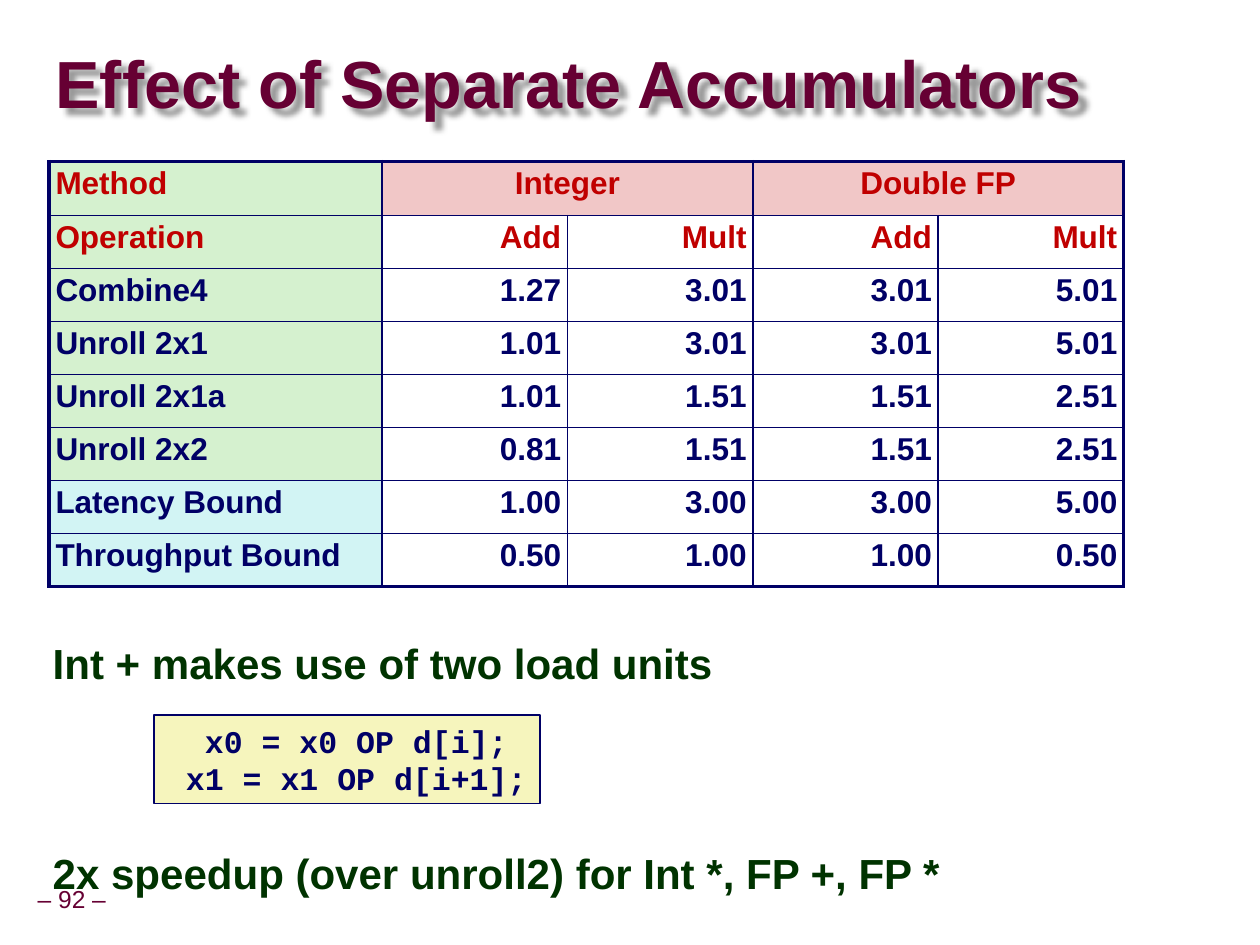
"""Build the slide on the effect of separate accumulators."""
from dataclasses import dataclass

from lxml import etree as tree
from pptx import Presentation
from pptx import util as u
from pptx.dml.color import RGBColor
from pptx.enum import shapes, text
from pptx.oxml import ns

NAVY, PLUM, RED, PINE = "000066", "660033", "C00000", "003300"
GREEN, CYAN, PINK, CREAM = "D5F1CF", "D2F4F4", "F1C7C7", "F6F5BD"
LEFT, MID, RIGHT = text.PP_ALIGN.LEFT, text.PP_ALIGN.CENTER, text.PP_ALIGN.RIGHT
TOP, CENTRE = text.MSO_ANCHOR.TOP, text.MSO_ANCHOR.MIDDLE


@dataclass
class Style:
    size: float
    color: str
    bold: bool = True
    font: str = "Arial"
    align: text.PP_ALIGN = LEFT
    lead: float = 0.95
    gap: float = 0


@dataclass
class Box:
    words: str
    place: tuple[float, float, float, float]
    style: Style
    inset: tuple[float, float] = (0.1, 0.05)
    anchor: text.MSO_ANCHOR = TOP
    wrap: bool = True
    fill: str = ""


ROWS = [
    ("Method", "Integer", "", "Double FP", ""),
    ("Operation", "Add", "Mult", "Add", "Mult"),
    ("Combine4", "1.27", "3.01", "3.01", "5.01"),
    ("Unroll 2x1", "1.01", "3.01", "3.01", "5.01"),
    ("Unroll 2x1a", "1.01", "1.51", "1.51", "2.51"),
    ("Unroll 2x2", "0.81", "1.51", "1.51", "2.51"),
    ("Latency Bound", "1.00", "3.00", "3.00", "5.00"),
    ("Throughput Bound", "0.50", "1.00", "1.00", "0.50"),
]
TITLE = Box("Effect of Separate Accumulators", (0.44, 0.27, 9.52, 0.85),
            Style(38, PLUM, lead=0.87), (0, 0), CENTRE)
BOXES = [
    Box("– 92 –", (0.23, 6.98, 0.68, 0.32),
        Style(14, PLUM, False, align=MID, lead=0.9), (0.05, 0.05), CENTRE, False),
    Box("Int + makes use of two load units\n"
        "2x speedup (over unroll2) for Int *, FP +, FP *",
        (0.32, 5.03, 9.07, 2.04), Style(24, PINE, gap=92.5)),
    Box(" x0 = x0 OP d[i];\n x1 = x1 OP d[i+1];", (1.22, 5.67, 3.06, 0.7),
        Style(18, NAVY, font="Courier New", align=MID, lead=1), wrap=False, fill=CREAM),
]


def paint(target, color: str) -> None:
    """Give a fill one solid colour."""
    target.solid()
    target.fore_color.rgb = RGBColor.from_string(color)


def write(frame, words: str, style: Style) -> None:
    """Set the words of a frame and format its runs."""
    frame.text = words
    for index, para in enumerate(frame.paragraphs):
        para.alignment = style.align
        para.line_spacing = style.lead
        if index and style.gap:
            para.space_before = u.Pt(style.gap)
        for run in para.runs:
            run.font.name, run.font.size = style.font, u.Pt(style.size)
            run.font.bold = style.bold
            run.font.color.rgb = RGBColor.from_string(style.color)


def draw(slide, box: Box):
    """Draw one box of text."""
    place = [u.Inches(n) for n in box.place]
    if box.fill:
        shape = slide.shapes.add_shape(shapes.MSO_SHAPE.RECTANGLE, *place)
        paint(shape.fill, box.fill)
        paint(shape.line.fill, NAVY)
        shape.line.width = u.Pt(1)
    else:
        shape = slide.shapes.add_textbox(*place)
    shape.shadow.inherit = False
    frame = shape.text_frame
    frame.word_wrap, frame.vertical_anchor = box.wrap, box.anchor
    frame.margin_left = frame.margin_right = u.Inches(box.inset[0])
    frame.margin_top = frame.margin_bottom = u.Inches(box.inset[1])
    write(frame, box.words, box.style)
    return shape


def shade(shape) -> None:
    """Cast a soft shadow from the text of a shape."""
    effect = shape.element.spPr.find(ns.qn("a:effectLst"))
    outer = tree.SubElement(effect, ns.qn("a:outerShdw"), blurRad="38100",
                            dist="63500", dir="2700000", algn="tl")
    color = tree.SubElement(outer, ns.qn("a:srgbClr"), val="000000")
    tree.SubElement(color, ns.qn("a:alpha"), val="40000")


def rule(cell, side: str, heavy: bool) -> None:
    """Draw one border of a cell."""
    props = cell._tc.get_or_add_tcPr()
    line = tree.SubElement(props, ns.qn(f"a:ln{side}"), w=str(u.Pt(2.25 if heavy else 1)))
    solid = tree.SubElement(line, ns.qn("a:solidFill"))
    tree.SubElement(solid, ns.qn("a:srgbClr"), val=NAVY)


def grid(slide) -> None:
    """Draw the table of results."""
    place = [u.Inches(n) for n in (0.39, 1.28, 8.52, 3.39)]
    table = slide.shapes.add_table(len(ROWS), len(ROWS[0]), *place).table
    table.first_row = table.horz_banding = False
    for index, col in enumerate(table.columns):
        col.width = u.Inches(1.47 if index else 2.64)
    for index, row in enumerate(table.rows):
        row.height = u.Inches(0.42 if index else 0.43)
    for col in (1, 3):
        table.cell(0, col).merge(table.cell(0, col + 1))
    for r, row in enumerate(ROWS):
        for c, words in enumerate(row):
            cell = table.cell(r, c)
            rule(cell, "L", c == 0)
            rule(cell, "R", c + cell.span_width == len(row))
            rule(cell, "T", r == 0)
            rule(cell, "B", r == len(ROWS) - 1)
            if c == 0:
                paint(cell.fill, GREEN if r < 6 else CYAN)
            elif r == 0:
                paint(cell.fill, PINK)
            else:
                cell.fill.background()
            cell.margin_left = cell.margin_right = u.Inches(0.05)
            cell.margin_top = cell.margin_bottom = u.Inches(0.05)
            align = LEFT if c == 0 else RIGHT if r else MID
            write(cell.text_frame, words, Style(18, RED if r < 2 else NAVY, align=align))


def main() -> None:
    """Build and save the deck."""
    deck = Presentation()
    deck.slide_width, deck.slide_height = u.Inches(9.99), u.Inches(7.49)
    slide = deck.slides.add_slide(deck.slide_layouts[6])
    shade(draw(slide, TITLE))
    for box in BOXES:
        draw(slide, box)
    grid(slide)
    deck.save("out.pptx")


if __name__ == "__main__":
    main()
